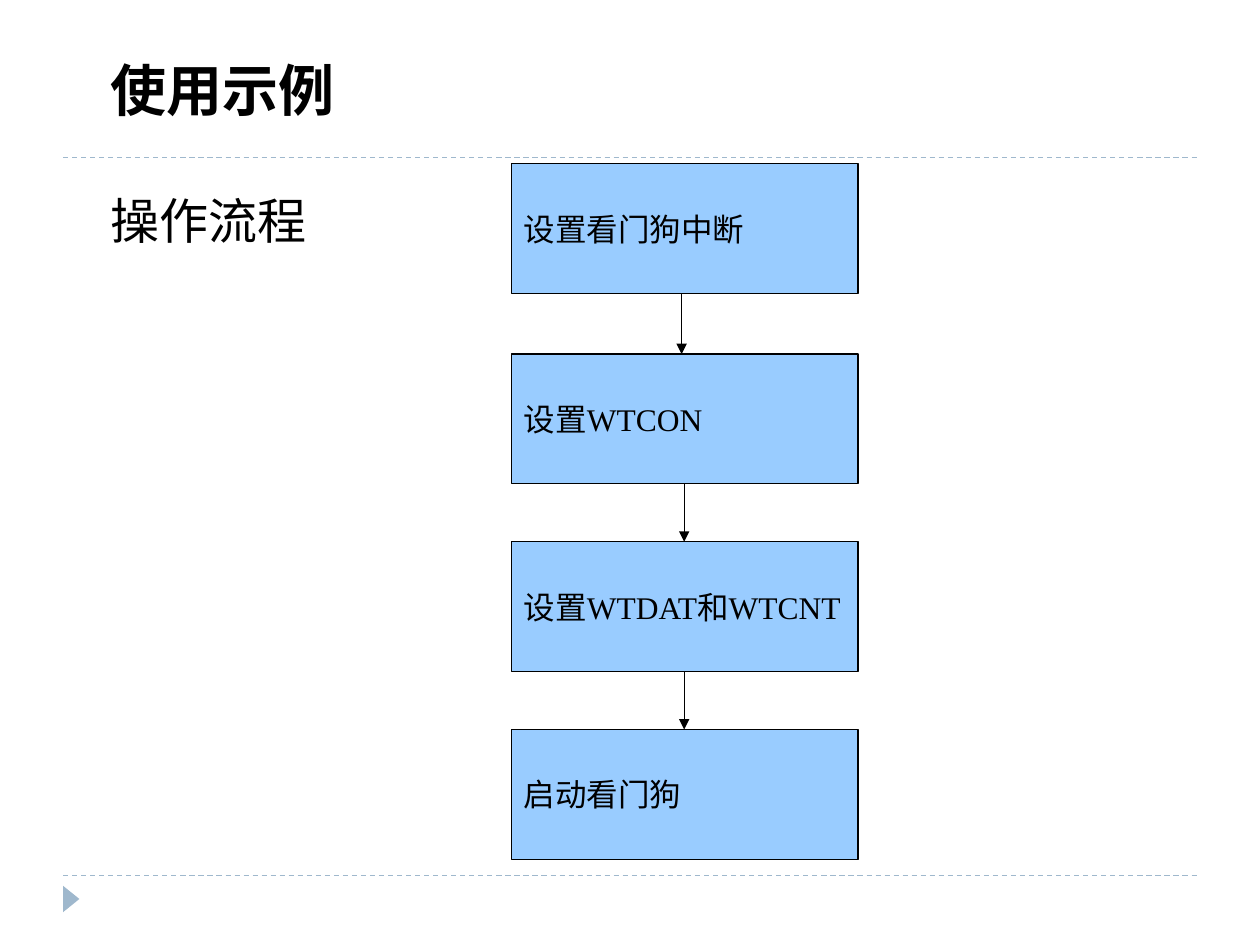
from dataclasses import dataclass

from lxml import etree
from pptx import Presentation
from pptx.dml.color import RGBColor
from pptx.enum import dml, shapes, text
from pptx.oxml import ns
from pptx.util import Inches, Pt


@dataclass(frozen=True)
class Theme:
    ink: RGBColor = RGBColor.from_string("000000")
    accent: RGBColor = RGBColor.from_string("9FB8CD")
    step_fill: RGBColor = RGBColor.from_string("99CCFF")
    font: str = "Times New Roman"
    title: Pt = Pt(32)
    subtitle: Pt = Pt(28)
    step: Pt = Pt(18)
    line: Pt = Pt(0.75)


theme = Theme()


def write(box, words, size, bold=False, anchor=text.MSO_ANCHOR.TOP):
    frame = box.text_frame
    frame.word_wrap = True
    frame.vertical_anchor = anchor
    para = frame.paragraphs[0]
    para.alignment = text.PP_ALIGN.LEFT
    span = para.add_run()
    span.text = words
    span.font.color.rgb = theme.ink
    for name, value in {"name": theme.font, "size": size, "bold": bold}.items():
        setattr(span.font, name, value)


def draw_line(page, start, end, color):
    points = [Inches(value) for value in (*start, *end)]
    line = page.shapes.add_connector(shapes.MSO_CONNECTOR.STRAIGHT, *points)
    line.line.color.rgb = color
    line.line.width = theme.line
    etree.SubElement(line._element.spPr, ns.qn("a:effectLst"))
    return line


deck = Presentation()
deck.slide_width, deck.slide_height = Inches(10), Inches(7.5)
page = deck.slides.add_slide(deck.slide_layouts[6])

# Dashed rules and corner marker
for y in (6.95, 1.25):
    rule = draw_line(page, (0.5, y), (9.5, y), theme.accent)
    rule.line.dash_style = dml.MSO_LINE.DASH

marker = page.shapes.add_shape(
    shapes.MSO_SHAPE.ISOSCELES_TRIANGLE,
    Inches(0.46), Inches(7.07), Inches(0.21), Inches(0.13))
marker.rotation = 90
marker.shadow.inherit = False
marker.fill.solid()
marker.fill.fore_color.rgb = theme.accent
marker.line.fill.background()

# Title and subtitle
headings = [
    ("使用示例", 0.39, 8.19, 0.67, theme.title, True),
    ("操作流程", 1.46, 2.09, 0.57, theme.subtitle, False),
]
for words, top, width, height, size, bold in headings:
    box = page.shapes.add_textbox(
        Inches(0.78), Inches(top), Inches(width), Inches(height))
    write(box, words, size, bold)

# Flow steps, each joined to the one above by an arrow
left, width, height = 4.06, 2.75, 1.03
steps = [
    ("设置看门狗中断", 1.3),
    ("设置WTCON", 2.81),
    ("设置WTDAT和WTCNT", 4.3),
    ("启动看门狗", 5.79),
]
for words, top in steps:
    box = page.shapes.add_shape(
        shapes.MSO_SHAPE.RECTANGLE,
        Inches(left), Inches(top), Inches(width), Inches(height))
    box.shadow.inherit = False
    box.fill.solid()
    box.fill.fore_color.rgb = theme.step_fill
    box.line.color.rgb = theme.ink
    box.line.width = theme.line
    write(box, words, theme.step, anchor=text.MSO_ANCHOR.MIDDLE)

for (_, above), (_, below), x in zip(steps, steps[1:], (5.41, 5.43, 5.43)):
    arrow = draw_line(page, (x, above + height), (x, below), theme.ink)
    etree.SubElement(arrow.line._get_or_add_ln(), ns.qn("a:tailEnd"), type="triangle")

deck.save("out.pptx")
